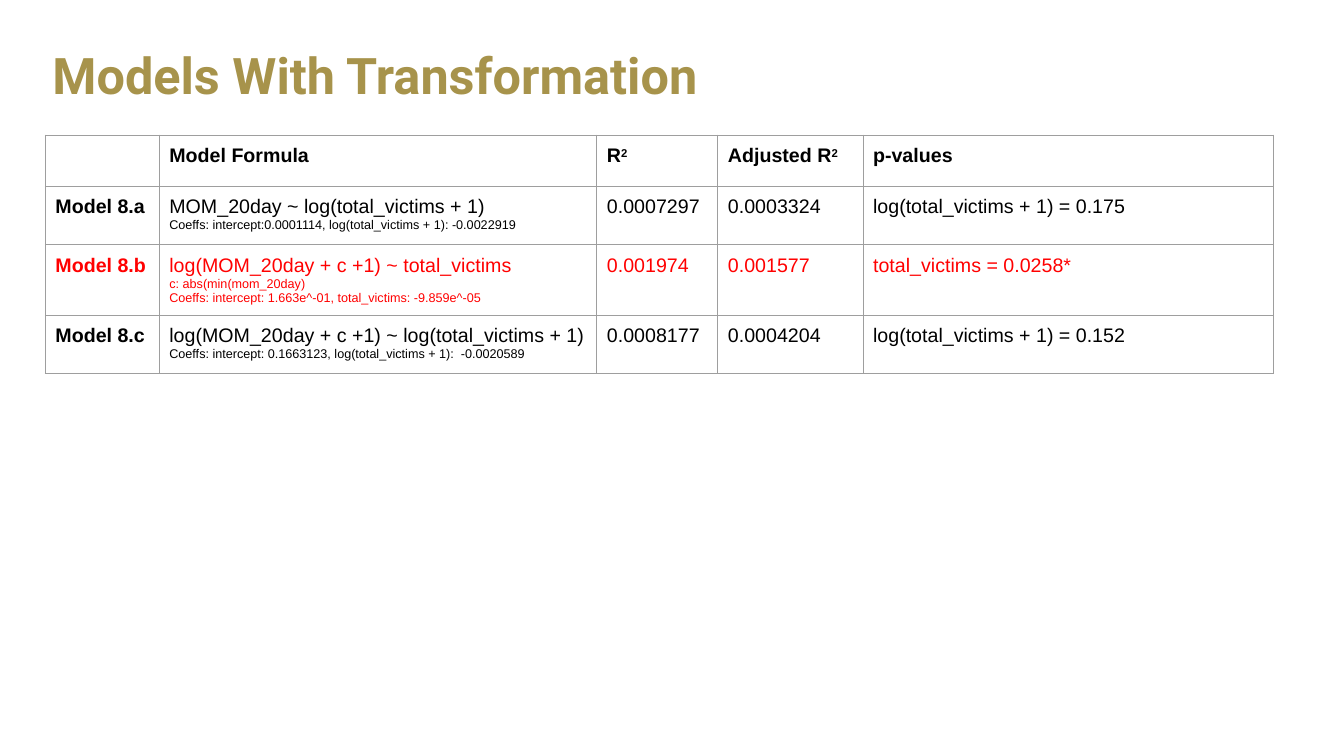
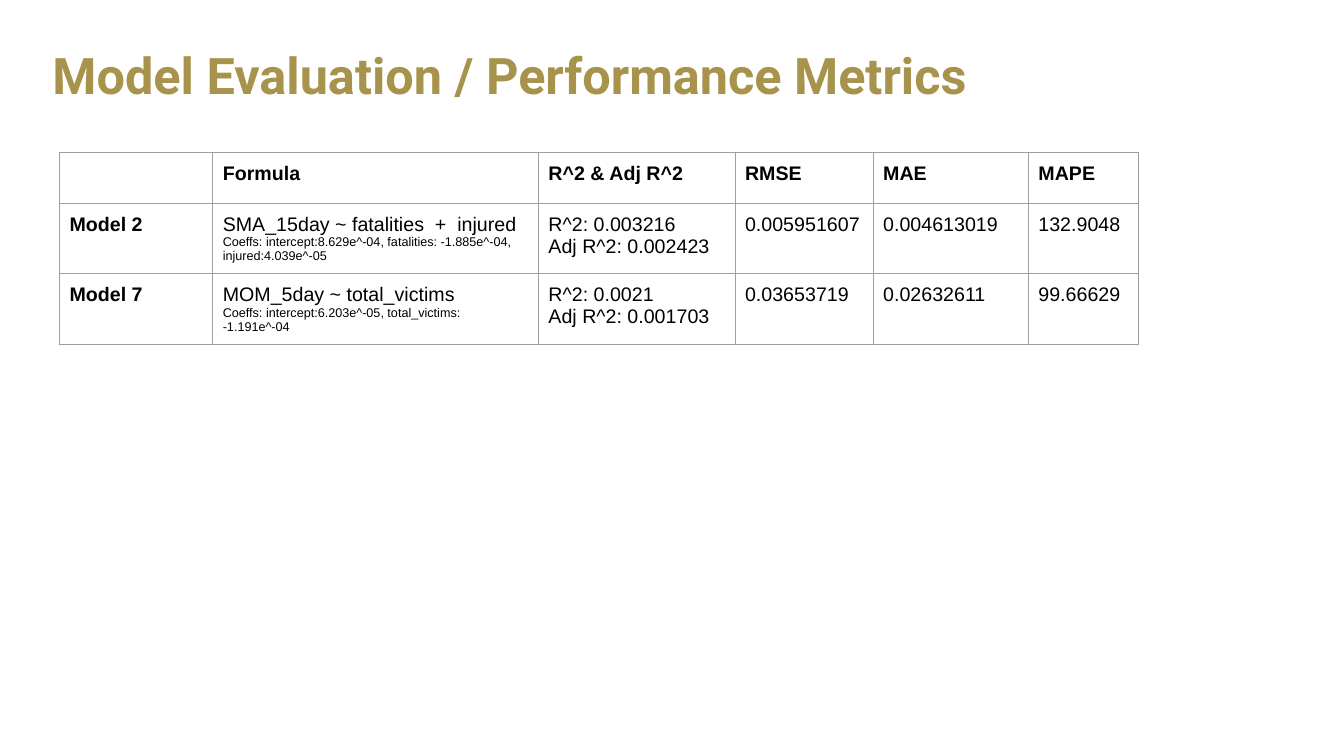
from dataclasses import dataclass

from lxml import etree
from pptx import Presentation
from pptx.dml.color import RGBColor
from pptx.enum import text as t
from pptx.oxml import ns
from pptx.util import Inches, Pt

HUES = {"gold": "A7934B", "ink": "000000", "red": "FF0000", "rule": "9E9E9E"}
HEAD, BODY = "Roboto", "Arial"
PAD = Inches(0.1)


@dataclass(frozen=True)
class Cell:
    main: str = ""
    note: str = ""
    sup: str = ""


@dataclass(frozen=True)
class Row:
    high: float
    cells: tuple[Cell, ...]
    hue: str = "ink"


@dataclass(frozen=True)
class Page:
    title: str
    left: float
    top: float
    cols: tuple[float, ...]
    rows: tuple[Row, ...]


PAGES = (
    Page(
        "Models With Transformation", 0.45, 1.34, (1.13, 4.34, 1.2, 1.44, 4.07),
        (
            Row(0.48, (Cell(), Cell("Model Formula"), Cell("R", sup="2"),
                       Cell("Adjusted R", sup="2"), Cell("p-values"))),
            Row(0.58, (
                Cell("Model 8.a"),
                Cell("MOM_20day ~ log(total_victims + 1)",
                     "Coeffs: intercept:0.0001114, log(total_victims + 1): -0.0022919"),
                Cell("0.0007297"), Cell("0.0003324"),
                Cell("log(total_victims + 1) = 0.175"))),
            Row(0.7, (
                Cell("Model 8.b"),
                Cell("log(MOM_20day + c +1) ~ total_victims",
                     "c: abs(min(mom_20day)\n"
                     "Coeffs: intercept: 1.663e^-01, total_victims: -9.859e^-05"),
                Cell("0.001974"), Cell("0.001577"),
                Cell("total_victims = 0.0258*")), "red"),
            Row(0.58, (
                Cell("Model 8.c"),
                Cell("log(MOM_20day + c +1) ~ log(total_victims + 1)",
                     "Coeffs: intercept: 0.1663123, log(total_victims + 1):  -0.0020589"),
                Cell("0.0008177"), Cell("0.0004204"),
                Cell("log(total_victims + 1) = 0.152"))),
        ),
    ),
    Page(
        "Model Evaluation / Performance Metrics", 0.59, 1.51,
        (1.52, 3.23, 1.95, 1.37, 1.54, 1.09),
        (
            Row(0.48, (Cell(), Cell("Formula"), Cell("R^2 & Adj R^2"),
                       Cell("RMSE"), Cell("MAE"), Cell("MAPE"))),
            Row(0.7, (
                Cell("Model 2"),
                Cell("SMA_15day ~ fatalities  +  injured",
                     "Coeffs: intercept:8.629e^-04, fatalities: -1.885e^-04, "
                     "injured:4.039e^-05"),
                Cell("R^2: 0.003216\nAdj R^2: 0.002423"),
                Cell("0.005951607"), Cell("0.004613019"), Cell("132.9048"))),
            Row(0.7, (
                Cell("Model 7"),
                Cell("MOM_5day ~ total_victims",
                     "Coeffs: intercept:6.203e^-05, total_victims: -1.191e^-04"),
                Cell("R^2: 0.0021\nAdj R^2: 0.001703"),
                Cell("0.03653719"), Cell("0.02632611"), Cell("99.66629"))),
        ),
    ),
)


def style(run, face: str, size: float, hue: str, bold: bool) -> None:
    font = run.font
    font.name, font.size, font.bold = face, Pt(size), bold
    font.color.rgb = RGBColor.from_string(HUES[hue])


def add_title(slide, words: str) -> None:
    shape = slide.shapes.title
    shape.left, shape.top = Inches(0.42), Inches(0.22)
    shape.width, shape.height = Inches(12.5), Inches(1.11)
    frame = shape.text_frame
    frame.text = words
    frame.word_wrap = True
    frame.auto_size = t.MSO_AUTO_SIZE.NONE
    frame.vertical_anchor = t.MSO_ANCHOR.MIDDLE
    para = frame.paragraphs[0]
    para.alignment = t.PP_ALIGN.LEFT
    para.line_spacing = 0.9
    style(para.runs[0], HEAD, 36, "gold", True)


def add_rules(box) -> None:
    props = box._tc.get_or_add_tcPr()
    for side in ("lnL", "lnR", "lnT", "lnB"):
        line = etree.SubElement(props, ns.qn(f"a:{side}"), w=str(Pt(0.75)))
        fill = etree.SubElement(line, ns.qn("a:solidFill"))
        etree.SubElement(fill, ns.qn("a:srgbClr"), val=HUES["rule"])


def fill_cell(box, cell: Cell, hue: str, bold: bool) -> None:
    add_rules(box)
    box.fill.background()
    box.margin_left = box.margin_right = PAD
    box.margin_top = box.margin_bottom = PAD
    if not cell.main:
        return
    mains = cell.main.split("\n")
    notes = cell.note.split("\n") if cell.note else []
    frame = box.text_frame
    frame.text = "\n".join(mains + notes)
    for i, para in enumerate(frame.paragraphs):
        style(para.runs[0], BODY, 14 if i < len(mains) else 9, hue, bold)
    if cell.sup:
        run = frame.paragraphs[0].add_run()
        run.text = cell.sup
        style(run, BODY, 14, hue, bold)
        run._r.get_or_add_rPr().set("baseline", "30000")


def add_grid(slide, page: Page) -> None:
    wide, high = sum(page.cols), sum(row.high for row in page.rows)
    grid = slide.shapes.add_table(
        len(page.rows), len(page.cols), Inches(page.left), Inches(page.top),
        Inches(wide), Inches(high)).table
    grid.horz_banding = False
    for col, width in zip(grid.columns, page.cols):
        col.width = Inches(width)
    for r, row in enumerate(page.rows):
        grid.rows[r].height = Inches(row.high)
        for c, cell in enumerate(row.cells):
            fill_cell(grid.cell(r, c), cell, row.hue, r == 0 or c == 0)


def main() -> None:
    deck = Presentation()
    deck.slide_width, deck.slide_height = Inches(13.33), Inches(7.5)
    for page in PAGES:
        slide = deck.slides.add_slide(deck.slide_layouts[5])
        add_title(slide, page.title)
        add_grid(slide, page)
    deck.save("out.pptx")


if __name__ == "__main__":
    main()
